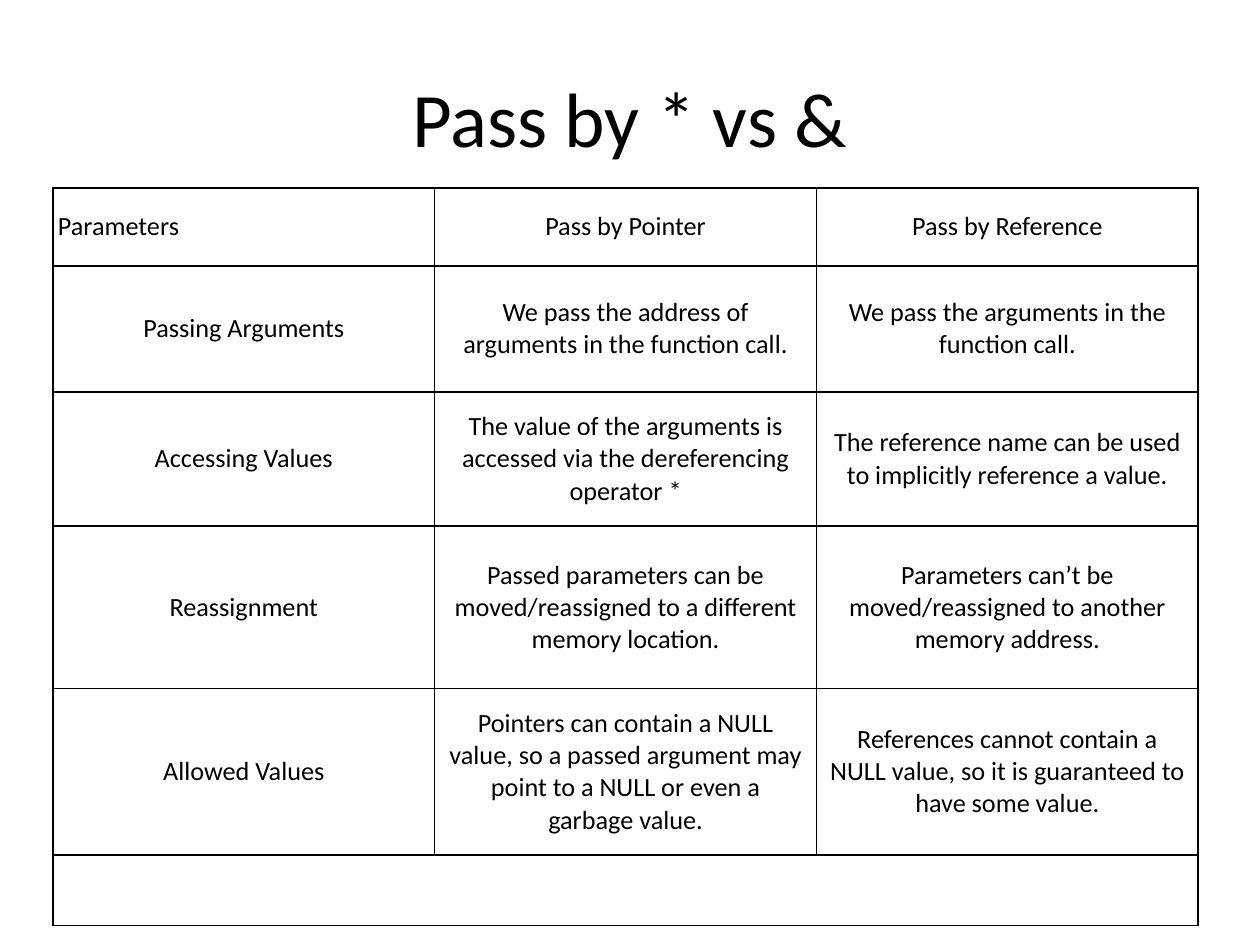
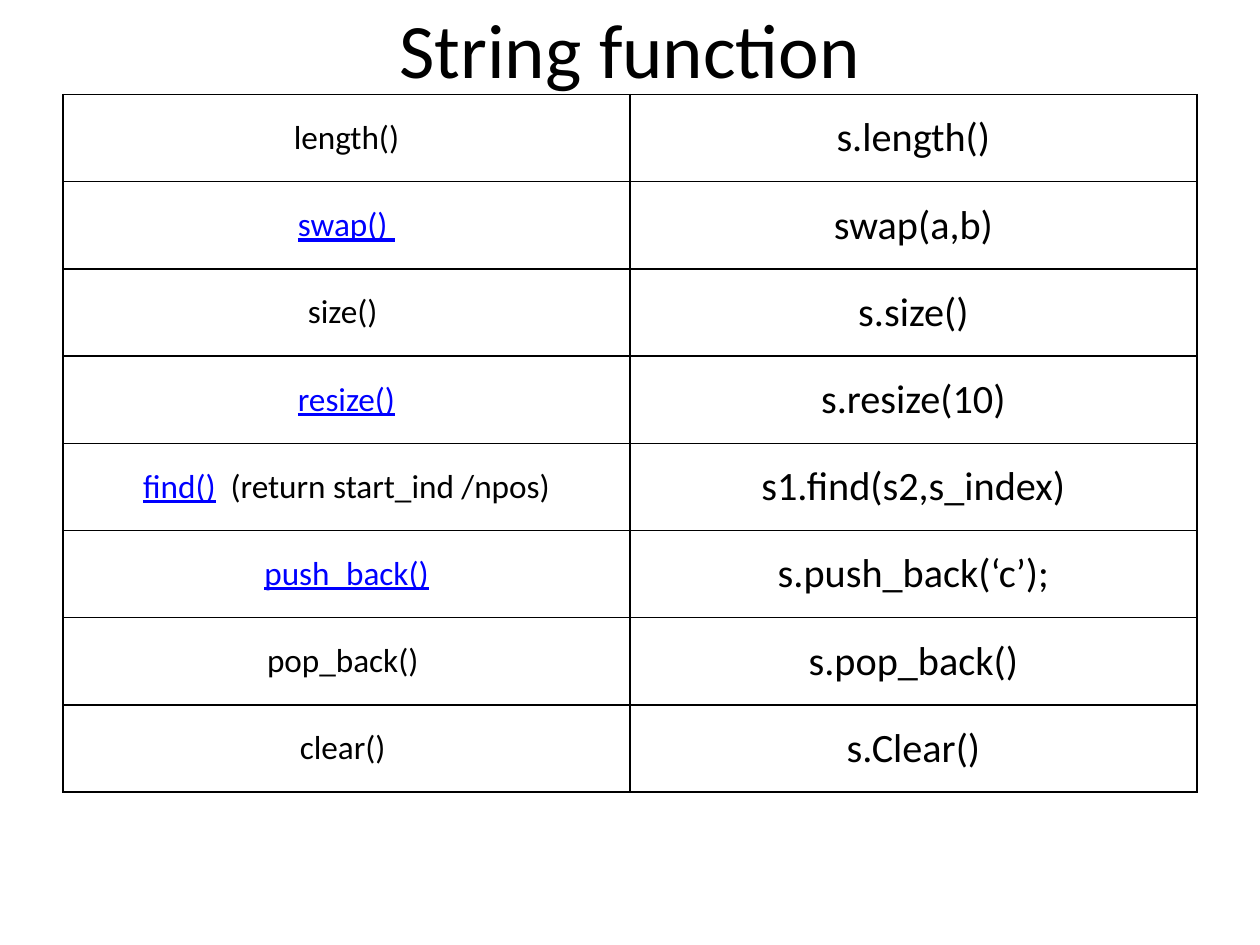
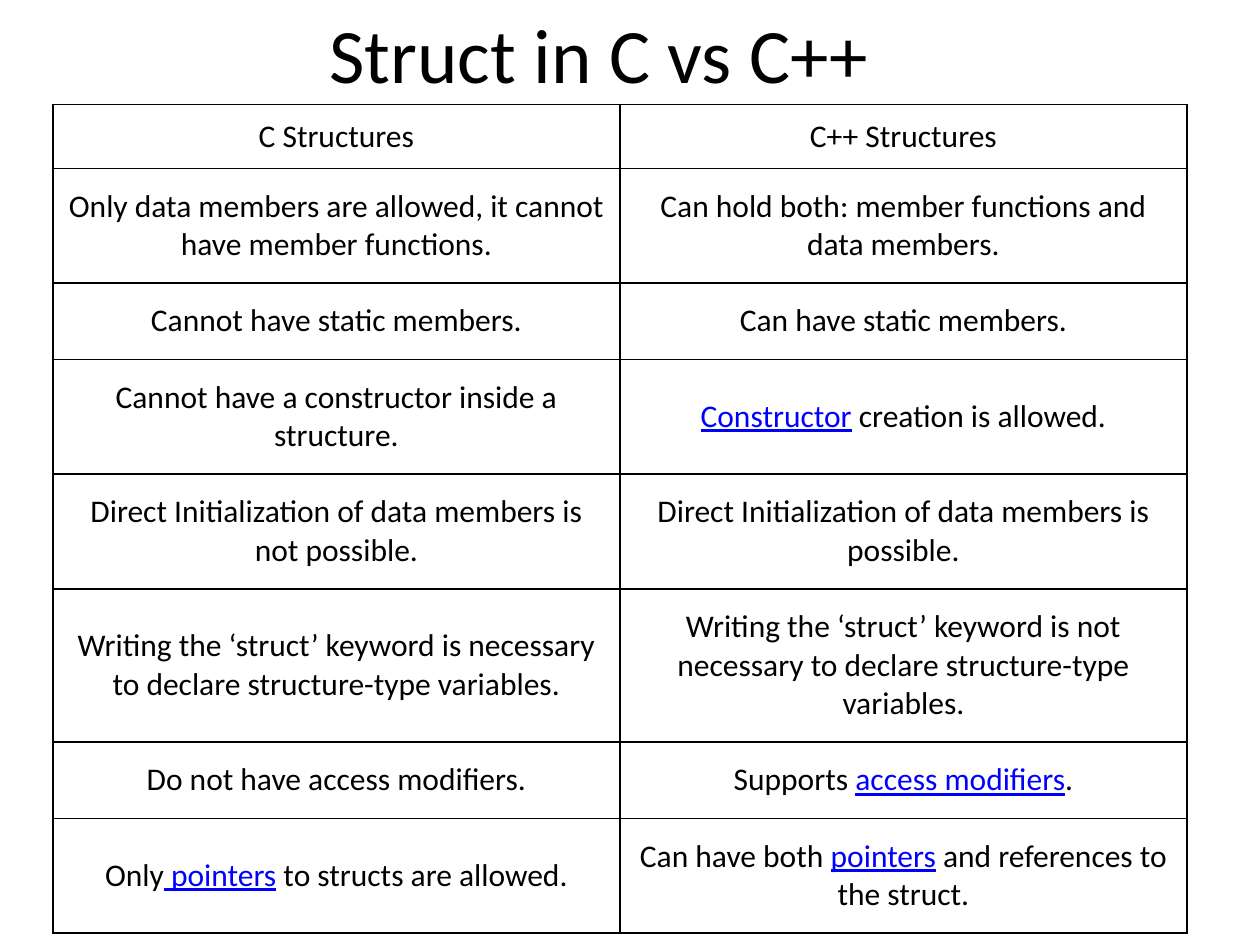
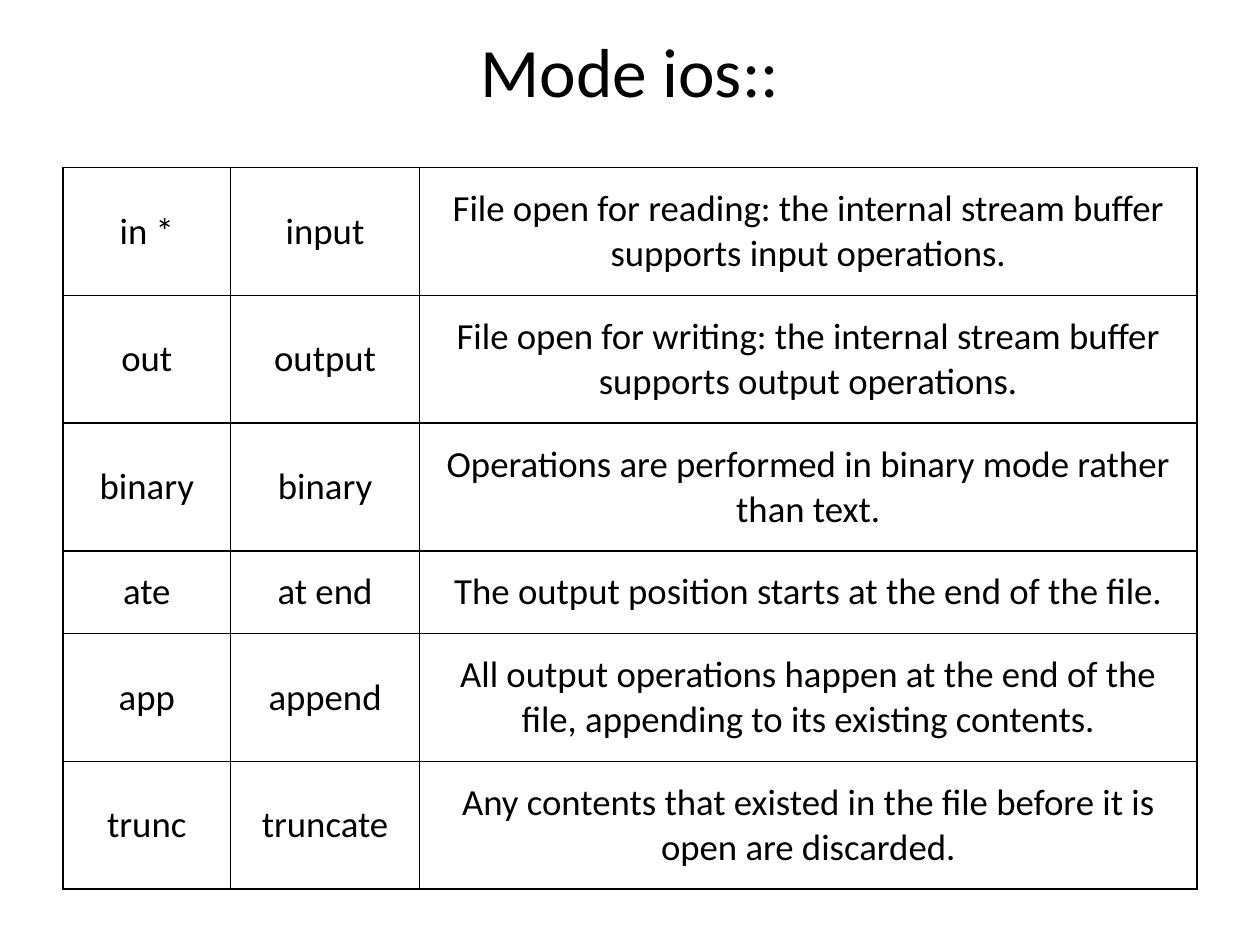
from lxml import etree
from pptx import Presentation
from pptx import util as u
from pptx.dml.color import RGBColor
from pptx.enum import text
from pptx.oxml import ns

COLORS = {"text": "000000", "link": "0000FF", "border": "000000"}
FONT = "Calibri"
TITLE_ONLY = 5


class Deck:
    """Holds the shared style and the current slide."""

    def __init__(self):
        self.prs = Presentation()
        self.prs.slide_width, self.prs.slide_height = u.Inches(10), u.Inches(7.5)

    def slide(self, title, box, size=44):
        """Start a slide with a centred title in the given box."""
        self.s = self.prs.slides.add_slide(self.prs.slide_layouts[TITLE_ONLY])
        sp = self.s.shapes.title
        self.place(sp, box)
        tf = sp.text_frame
        layout = {"word_wrap": True, "auto_size": text.MSO_AUTO_SIZE.NONE,
                  "vertical_anchor": text.MSO_ANCHOR.MIDDLE}
        for name, value in layout.items():
            setattr(tf, name, value)
        self.add_words(tf, title, size)

    def place(self, sp, box):
        for name, value in zip(("left", "top", "width", "height"), box):
            setattr(sp, name, u.Inches(value))

    def add_words(self, tf, words, size, align=text.PP_ALIGN.CENTER):
        """Fill one paragraph; every second part between bars is link-styled."""
        p = tf.paragraphs[0]
        p.alignment = align
        for i, part in enumerate(words.split("|")):
            if not part:
                continue
            is_link = i % 2 == 1
            r = p.add_run()
            r.text = part
            style = {"name": FONT, "size": u.Pt(size)}
            if is_link:
                style["underline"] = True
            for name, value in style.items():
                setattr(r.font, name, value)
            color = COLORS["link" if is_link else "text"]
            r.font.color.rgb = RGBColor.from_string(color)

    def frame_cell(self, cell, side=0.1, end=0.15):
        """Set margins, thin borders and a clear fill."""
        style = {"margin_left": u.Inches(side), "margin_right": u.Inches(side),
                 "margin_top": u.Inches(end), "margin_bottom": u.Inches(end),
                 "vertical_anchor": text.MSO_ANCHOR.MIDDLE}
        for name, value in style.items():
            setattr(cell, name, value)
        tc_pr = cell._tc.get_or_add_tcPr()
        for tag in ("a:lnL", "a:lnR", "a:lnT", "a:lnB"):
            ln = etree.SubElement(tc_pr, ns.qn(tag), w=str(u.Pt(1)))
            fill = etree.SubElement(ln, ns.qn("a:solidFill"))
            etree.SubElement(fill, ns.qn("a:srgbClr"), val=COLORS["border"])
        cell.fill.background()

    def table(self, box, cols, heights, sizes, rows, header=False,
              corner_align=text.PP_ALIGN.CENTER):
        """Add a grid; an empty row becomes one merged cell."""
        sp = self.s.shapes.add_table(len(rows), len(cols), *map(u.Inches, box))
        tbl = sp.table
        tbl.first_row = tbl.horz_banding = False
        for col, width in zip(tbl.columns, cols):
            col.width = u.Inches(width)
        for row, height in zip(tbl.rows, heights):
            row.height = u.Inches(height)
        for i, row in enumerate(rows):
            is_header = header and i == 0
            for j in range(len(cols)):
                is_corner = is_header and j == 0
                cell = tbl.cell(i, j)
                end = 0.1 if is_header else 0.15 if row else 0.05
                self.frame_cell(cell, 0.04 if is_corner else 0.1, end)
                if row:
                    align = corner_align if is_corner else text.PP_ALIGN.CENTER
                    self.add_words(cell.text_frame, row[j], sizes[j], align)
            if not row:
                tbl.cell(i, 0).merge(tbl.cell(i, len(cols) - 1))
        # Rows grow with their text inside the full frame
        self.place(sp, box)


PASSING = [
    ("Parameters", "Pass by Pointer", "Pass by Reference"),
    ("Passing Arguments",
     "We pass the address of arguments in the function call.",
     "We pass the arguments in the function call."),
    ("Accessing Values",
     "The value of the arguments is accessed via the dereferencing operator *",
     "The reference name can be used to implicitly reference a value."),
    ("Reassignment",
     "Passed parameters can be moved/reassigned to a different memory location.",
     "Parameters can’t be moved/reassigned to another memory address."),
    ("Allowed Values",
     "Pointers can contain a NULL value, so a passed argument may point to "
     "a NULL or even a garbage value.",
     "References cannot contain a NULL value, so it is guaranteed to have "
     "some value."),
    (),
]

STRING_FUNCTIONS = [
    ("length()", "s.length()"),
    ("|swap() |", "swap(a,b)"),
    ("size() ", "s.size()"),
    ("|resize()|", "s.resize(10)"),
    ("|find()|  (return start_ind /npos)", "s1.find(s2,s_index)"),
    ("|push_back()|", "s.push_back(‘c’);"),
    ("pop_back() ", "s.pop_back()"),
    ("clear() ", "s.Clear()"),
]

STRUCTS = [
    ("C Structures", "C++ Structures"),
    ("Only data members are allowed, it cannot have member functions.",
     "Can hold both: member functions and data members."),
    ("Cannot have static members.", "Can have static members."),
    ("Cannot have a constructor inside a structure.",
     "|Constructor| creation is allowed."),
    ("Direct Initialization of data members is not possible.",
     "Direct Initialization of data members is possible."),
    ("Writing the ‘struct’ keyword is necessary to declare structure-type "
     "variables.",
     "Writing the ‘struct’ keyword is not necessary to declare "
     "structure-type variables."),
    ("Do not have access modifiers.", "Supports |access modifiers|."),
    ("Only| pointers| to structs are allowed.",
     "Can have both |pointers| and references to the struct."),
]

MODES = [
    ("in *", "input", "File open for reading: the internal stream buffer "
     "supports input operations."),
    ("out", "output", "File open for writing: the internal stream buffer "
     "supports output operations."),
    ("binary", "binary",
     "Operations are performed in binary mode rather than text."),
    ("ate", "at end", "The output position starts at the end of the file."),
    ("app", "append", "All output operations happen at the end of the file, "
     "appending to its existing contents."),
    ("trunc", "truncate", "Any contents that existed in the file before it is "
     "open are discarded."),
]


def main():
    deck = Deck()

    # Pointers and references
    deck.slide("Pass by * vs &", (0.5, 0.3, 9, 1.25))
    deck.table((0.42, 1.49, 9.08, 5.8), [3.03] * 3,
               [0.62, 1, 1, 1.29, 1.29, 0.56], [15] * 3, PASSING,
               header=True, corner_align=text.PP_ALIGN.LEFT)

    # String functions
    deck.slide("String function", (0.5, -0.25, 9, 1.25))
    deck.table((0.5, 0.75, 9, 5.4), [4.5] * 2, [0.41] * 8, [19, 23],
               STRING_FUNCTIONS)

    # Structures
    deck.slide("Struct in C vs C++", (0.92, 0, 7.67, 0.83))
    deck.table((0.42, 0.83, 9, 6.45), [4.5] * 2, [0.41] * 8, [18] * 2,
               STRUCTS, header=True)

    # File modes
    deck.slide("Mode ios::", (0.5, 0.3, 9, 0.5), size=39.6)
    deck.table((0.5, 1.33, 9, 5.6), [1.33, 1.5, 6.17], [0.41] * 6, [21] * 3,
               MODES)

    deck.prs.save("out.pptx")


if __name__ == "__main__":
    main()
